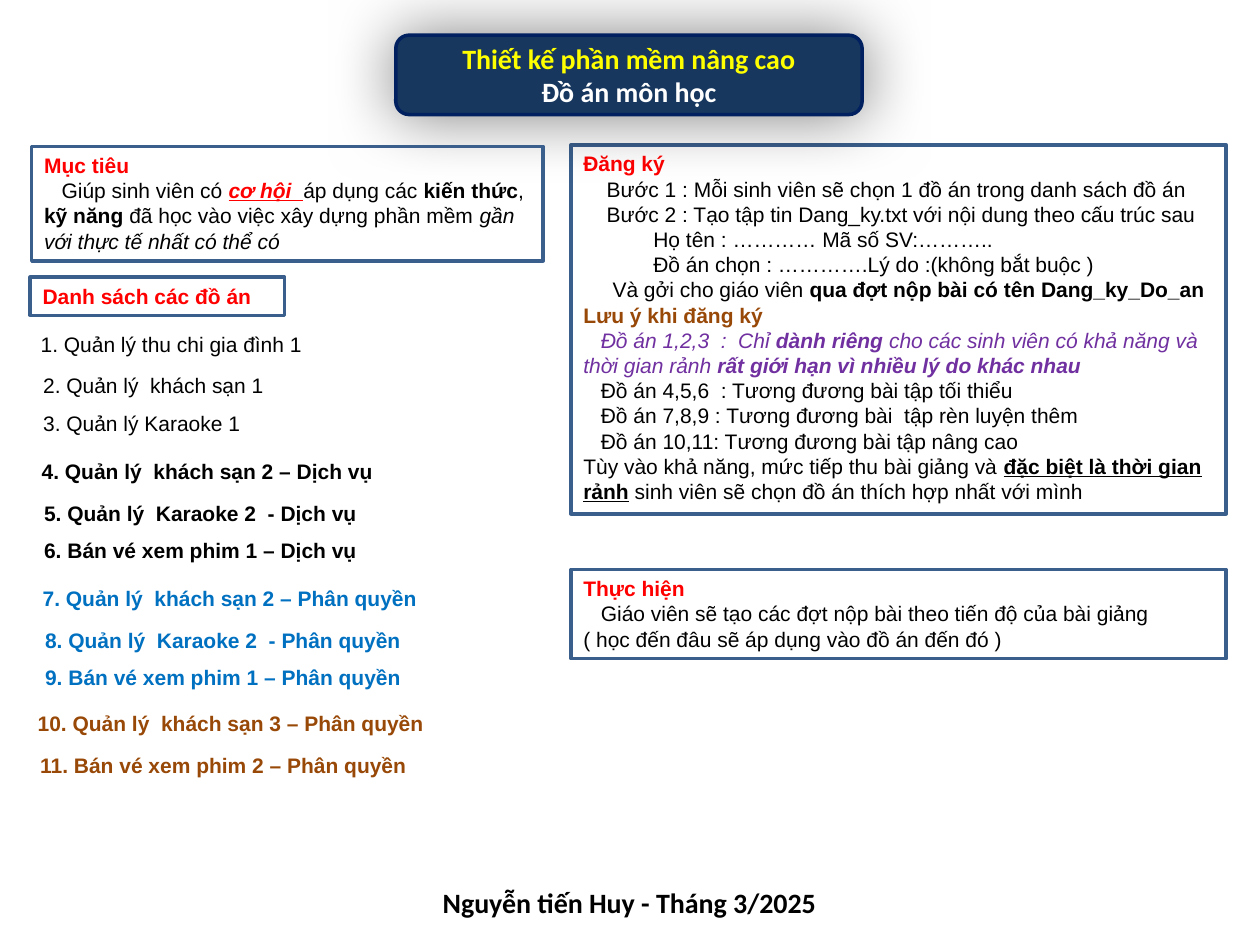
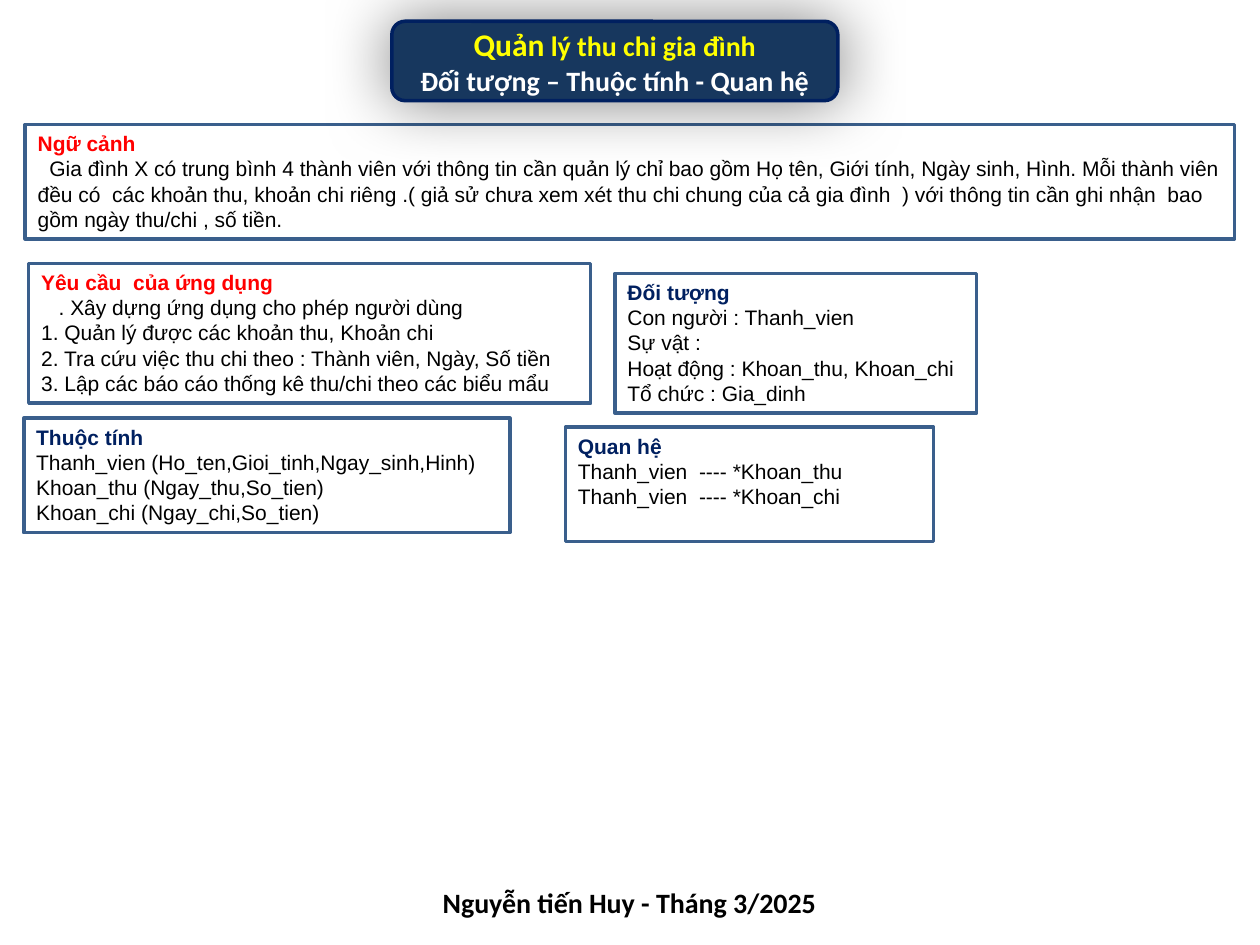
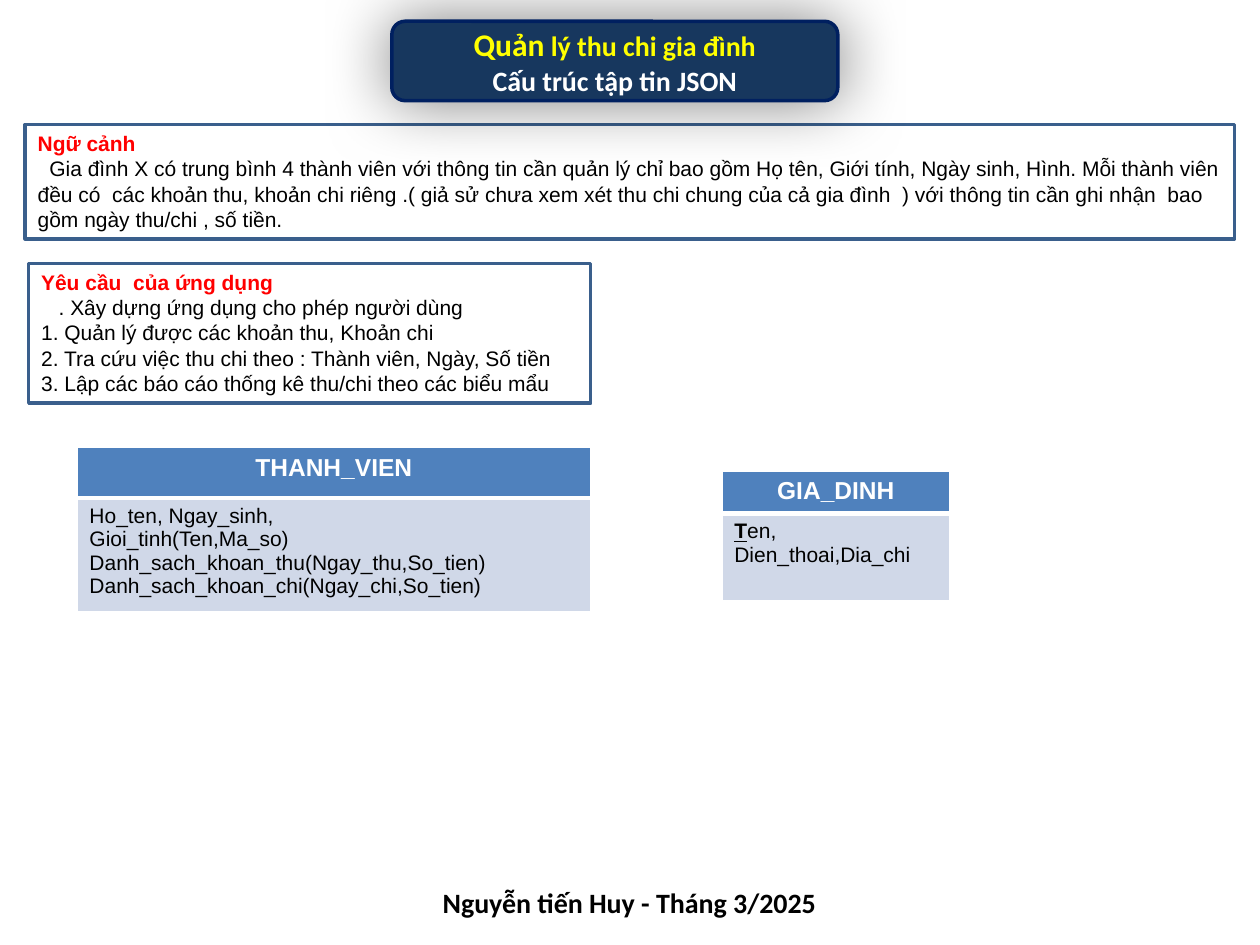
from dataclasses import dataclass

from lxml import etree
from pptx import Presentation
from pptx import util as u
from pptx.dml.color import RGBColor
from pptx.enum import shapes, text
from pptx.oxml import ns


@dataclass(frozen=True)
class Theme:
    """Colours, type sizes and line weights of the deck."""
    ink: str = "000000"
    paper: str = "FFFFFF"
    red: str = "FF0000"
    yellow: str = "FFFF00"
    navy: str = "002060"
    banner: str = "17375E"
    frame: str = "3A5F8C"
    brown: str = "984807"
    purple: str = "7030A0"
    blue: str = "0070C0"
    header: str = "4F81BD"
    cell: str = "D0D8E8"
    body_font: str = "Arial"
    title_font: str = "Calibri"
    body: int = 12
    entity: int = 14
    title: int = 16
    title_lead: int = 18
    leading: float = 14.4
    outline: int = 2
    space_cm: float = 0.1177


T = Theme()


def style(color, size=T.body, name=T.body_font, **flags):
    """Return the format values of one text style."""
    return {"color": color, "size": u.Pt(size), "name": name, **flags}


STYLES = {
    "plain": style(T.ink),
    "bold": style(T.ink, bold=True),
    "italic": style(T.ink, italic=True),
    "stress": style(T.ink, bold=True, underline=True),
    "chance": style(T.red, bold=True, italic=True, underline=True),
    "heading": style(T.red, bold=True),
    "model": style(T.navy, bold=True),
    "caution": style(T.brown, bold=True),
    "reserved": style(T.purple, italic=True),
    "reserved bold": style(T.purple, bold=True, italic=True),
    "rights": style(T.blue, bold=True),
    "entity": style(T.paper, T.entity, bold=True),
    "title lead": style(T.yellow, T.title_lead, T.title_font, bold=True),
    "title": style(T.yellow, T.title, T.title_font, bold=True),
    "subtitle": style(T.paper, T.title, T.title_font, bold=True),
    "footer": style(T.ink, T.title, T.title_font, bold=True),
}

CONTEXT = [
    ("Ngữ cảnh", "heading"),
    (2, "Gia đình X có trung bình 4 thành viên với thông tin cần quản lý chỉ bao gồm "
        "Họ tên, Giới tính, Ngày sinh, Hình. Mỗi thành viên đều có  các khoản thu, "
        "khoản chi riêng .( giả sử chưa xem xét thu chi chung của cả gia đình  ) với "
        "thông tin cần ghi nhận  bao gồm ngày thu/chi , số tiền."),
]
REQUIREMENTS = [
    ("Yêu cầu  của ứng dụng", "heading"),
    (3, ". Xây dựng ứng dụng cho phép người dùng"),
    "1. Quản lý được các khoản thu, Khoản chi",
    "2. Tra cứu việc thu chi theo : Thành viên, Ngày, Số tiền",
    "3. Lập các báo cáo thống kê thu/chi theo các biểu mẩu",
]
GOAL = [
    ("Mục tiêu", "heading"),
    (3, [("Giúp sinh viên có ", "plain"), ("cơ hội  ", "chance"), ("áp dụng các ", "plain"),
         ("kiến thức", "bold"), (", ", "plain"), ("kỹ năng ", "bold"),
         ("đã học vào việc xây dựng phần mềm ", "plain"),
         ("gần với thực tế nhất có thể có", "italic")]),
]
REGISTRATION = [
    ("Đăng ký", "heading"),
    (4, "Bước 1 : Mỗi sinh viên sẽ chọn 1 đồ án trong danh sách đồ án"),
    (4, "Bước 2 : Tạo tập tin Dang_ky.txt với nội dung theo cấu trúc sau"),
    (12, "Họ tên : ………… Mã số SV:……….."),
    (12, "Đồ án chọn : ………….Lý do :(không bắt buộc )"),
    (5, [("Và gởi cho giáo viên ", "plain"),
         ("qua đợt nộp bài có tên Dang_ky_Do_an", "bold")]),
    ("Lưu ý khi đăng ký", "caution"),
    (3, [("Đồ án 1,2,3  :  Chỉ ", "reserved"), ("dành riêng ", "reserved bold"),
         ("cho các sinh viên có khả năng và thời gian rảnh", "reserved"),
         (" rất giới hạn vì nhiều lý do khác nhau", "reserved bold")]),
    (3, "Đồ án 4,5,6  : Tương đương bài tập tối thiểu"),
    (3, "Đồ án 7,8,9 : Tương đương bài  tập rèn luyện thêm"),
    (3, "Đồ án 10,11: Tương đương bài tập nâng cao"),
    (0, [("Tùy vào khả năng, mức tiếp thu bài giảng và ", "plain"),
         ("đặc biệt là thời gian rảnh", "stress"),
         (" sinh viên sẽ chọn đồ án thích hợp nhất với mình", "plain")]),
]
DELIVERY = [
    ("Thực hiện", "heading"),
    (3, "Giáo viên sẽ tạo các đợt nộp bài theo tiến độ của bài giảng"),
    "( học đến đâu sẽ áp dụng vào đồ án đến đó )",
]
TOPIC_GROUPS = [
    (0.57, 6.55, "plain", ["1. Quản lý thu chi gia đình 1", "2. Quản lý  khách sạn 1",
                           "3. Quản lý Karaoke 1"]),
    (0.59, 9.12, "bold", ["4. Quản lý  khách sạn 2 – Dịch vụ",
                          "5. Quản lý  Karaoke 2  - Dịch vụ",
                          "6. Bán vé xem phim 1 – Dịch vụ"]),
    (0.61, 11.68, "rights", ["7. Quản lý  khách sạn 2 – Phân quyền",
                             "8. Quản lý  Karaoke 2  - Phân quyền",
                             "9. Bán vé xem phim 1 – Phân quyền"]),
    (0.51, 14.2, "caution", ["10. Quản lý  khách sạn 3 – Phân quyền",
                             "11. Bán vé xem phim 2 – Phân quyền"]),
]
TOPIC_OFFSETS = (0, 0.84, 1.6)
FAMILY_TITLE = [("Quản", "title lead"), (" lý thu chi gia đình", "title")]
FAMILY_BANNER = (7.9, 0.43, 8.99, 1.6)


def cm(*lengths):
    """Convert centimetre values to slide lengths."""
    return [u.Cm(length) for length in lengths]


def rgb(color):
    """Return a colour object for a hex value."""
    return RGBColor.from_string(color)


def parse_line(line):
    """Return the indent in spaces and the styled runs of a line."""
    if isinstance(line, str):
        return 0, [(line, "plain")]
    first, rest = line
    if isinstance(first, str):
        return 0, [line]
    return first, [(rest, "plain")] if isinstance(rest, str) else rest


def write(frame, lines, align=None, leading=None):
    """Fill a text frame with one paragraph for each line."""
    frame.word_wrap = True
    for index, line in enumerate(lines):
        paragraph = frame.add_paragraph() if index else frame.paragraphs[0]
        indent, runs = parse_line(line)
        paragraph.alignment = align or text.PP_ALIGN.LEFT
        if leading:
            paragraph.line_spacing = u.Pt(leading)
        if indent:
            properties = paragraph._p.get_or_add_pPr()
            properties.set("marL", "0")
            properties.set("indent", str(u.Cm(indent * T.space_cm)))
        for words, style_name in runs:
            run = paragraph.add_run()
            run.text = words
            for key, value in STYLES[style_name].items():
                if key == "color":
                    run.font.color.rgb = rgb(value)
                else:
                    setattr(run.font, key, value)


def add_panel(slide, place, lines):
    """Add a framed panel of text."""
    panel = slide.shapes.add_shape(shapes.MSO_SHAPE.RECTANGLE, *cm(*place))
    panel.shadow.inherit = False
    panel.fill.background()
    panel.line.color.rgb = rgb(T.frame)
    panel.line.width = u.Pt(T.outline)
    panel.text_frame.vertical_anchor = text.MSO_ANCHOR.TOP
    write(panel.text_frame, lines, leading=T.leading)


def add_banner(slide, place, lines):
    """Add the rounded title banner with its soft shadow."""
    banner = slide.shapes.add_shape(shapes.MSO_SHAPE.ROUNDED_RECTANGLE, *cm(*place))
    banner.shadow.inherit = False
    banner.fill.solid()
    banner.fill.fore_color.rgb = rgb(T.banner)
    banner.line.color.rgb = rgb(T.navy)
    banner.line.width = u.Pt(T.outline)
    effects = banner._element.spPr.find(ns.qn("a:effectLst"))
    glow = etree.SubElement(effects, ns.qn("a:outerShdw"), blurRad=str(u.Pt(38)),
                            dist="0", dir="5400000", algn="ctr", rotWithShape="0")
    tint = etree.SubElement(glow, ns.qn("a:srgbClr"), val=T.ink)
    etree.SubElement(tint, ns.qn("a:alpha"), val="49000")
    banner.text_frame.vertical_anchor = text.MSO_ANCHOR.MIDDLE
    write(banner.text_frame, lines, text.PP_ALIGN.CENTER)


def add_footer(slide):
    """Add the author and date line."""
    footer = slide.shapes.add_textbox(*cm(7.52, 17.68, 10.34, 1.02))
    footer.text_frame.vertical_anchor = text.MSO_ANCHOR.MIDDLE
    write(footer.text_frame, [("Nguyễn tiến Huy - Tháng 3/2025", "footer")],
          text.PP_ALIGN.CENTER)


def add_topics(slide, left, top, style_name, topics):
    """Add one group of project topics."""
    for index, (offset, topic) in enumerate(zip(TOPIC_OFFSETS, topics)):
        indent = 0.05 if index else 0
        entry = slide.shapes.add_textbox(*cm(left + indent, top + offset, 9, 0.77))
        write(entry.text_frame, [(topic, style_name)], leading=T.leading)


def add_cell_borders(cell, widths):
    """Draw white borders of the given widths around a cell."""
    for side, width in widths.items():
        border = etree.SubElement(cell._tc.get_or_add_tcPr(), ns.qn(f"a:ln{side}"),
                                  w=str(u.Pt(width)))
        fill = etree.SubElement(border, ns.qn("a:solidFill"))
        etree.SubElement(fill, ns.qn("a:srgbClr"), val=T.paper)


def add_entity(slide, place, heights, name, attributes):
    """Add a table with an entity name above its attributes."""
    left, top, width = place
    entity = slide.shapes.add_table(2, 1, *cm(left, top, width, sum(heights))).table
    entity.horz_banding = False
    parts = [
        ([(name, "entity")], text.PP_ALIGN.CENTER, T.header, {"L": 1, "R": 1, "T": 1, "B": 3}),
        (attributes, text.PP_ALIGN.LEFT, T.cell, {"L": 1, "R": 1, "T": 3, "B": 1}),
    ]
    for row, (lines, align, color, borders) in enumerate(parts):
        entity.rows[row].height = u.Cm(heights[row])
        cell = entity.cell(row, 0)
        add_cell_borders(cell, borders)
        cell.fill.solid()
        cell.fill.fore_color.rgb = rgb(color)
        write(cell.text_frame, lines, align)


def build_overview(slide):
    """Build the course project overview."""
    add_panel(slide, (11.51, 2.92, 13.21, 7.44), REGISTRATION)
    add_banner(slide, (7.98, 0.71, 9.4, 1.6),
               [("Thiết kế phần mềm nâng cao", "title"), ("Đồ án môn học", "subtitle")])
    add_panel(slide, (0.61, 5.59, 5.13, 0.77), [("Danh sách các đồ án", "heading")])
    add_panel(slide, (0.64, 2.95, 10.31, 2.31), GOAL)
    add_panel(slide, (11.51, 11.48, 13.21, 1.8), DELIVERY)
    for group in TOPIC_GROUPS:
        add_topics(slide, *group)


def build_family_base(slide, subtitle):
    """Build what the family budget slides share."""
    add_panel(slide, (0.51, 2.51, 24.38, 2.31), CONTEXT)
    add_banner(slide, FAMILY_BANNER, [(0, FAMILY_TITLE), (subtitle, "subtitle")])
    add_panel(slide, (0.58, 5.31, 11.33, 2.82), REQUIREMENTS)


def build_objects(slide):
    """Build the objects, attributes and relations slide."""
    build_family_base(slide, "Đối tượng – Thuộc tính - Quan hệ")
    add_panel(slide, (12.4, 5.51, 7.29, 2.82), [
        ("Đối tượng", "model"), "Con người : Thanh_vien", "Sự vật :",
        "Hoạt động : Khoan_thu, Khoan_chi", "Tổ chức : Gia_dinh"])
    add_panel(slide, (11.4, 8.61, 7.42, 2.31), [
        ("Quan hệ", "model"), "Thanh_vien  ---- *Khoan_thu", "Thanh_vien  ---- *Khoan_chi"])
    add_panel(slide, (0.48, 8.43, 9.8, 2.31), [
        ("Thuộc tính", "model"), "Thanh_vien (Ho_ten,Gioi_tinh,Ngay_sinh,Hinh)",
        "Khoan_thu (Ngay_thu,So_tien)", "Khoan_chi (Ngay_chi,So_tien)"])


def build_json(slide):
    """Build the JSON file structure slide."""
    build_family_base(slide, "Cấu trúc tập tin JSON")
    add_entity(slide, (1.55, 9.02, 10.36), (1.02, 2.28), "THANH_VIEN", [
        "Ho_ten, Ngay_sinh,", "Gioi_tinh(Ten,Ma_so)",
        "Danh_sach_khoan_thu(Ngay_thu,So_tien)", "Danh_sach_khoan_chi(Ngay_chi,So_tien)"])
    add_entity(slide, (14.55, 9.5, 4.6), (0.85, 1.77), "GIA_DINH", [
        (0, [("T", "stress"), ("en, Dien_thoai,Dia_chi", "plain")])])


def main():
    """Build and save the deck."""
    deck = Presentation()
    deck.slide_width, deck.slide_height = cm(25.4, 19.05)
    for build in (build_overview, build_objects, build_json):
        slide = deck.slides.add_slide(deck.slide_layouts[6])
        build(slide)
        add_footer(slide)
    deck.save("out.pptx")


if __name__ == "__main__":
    main()
